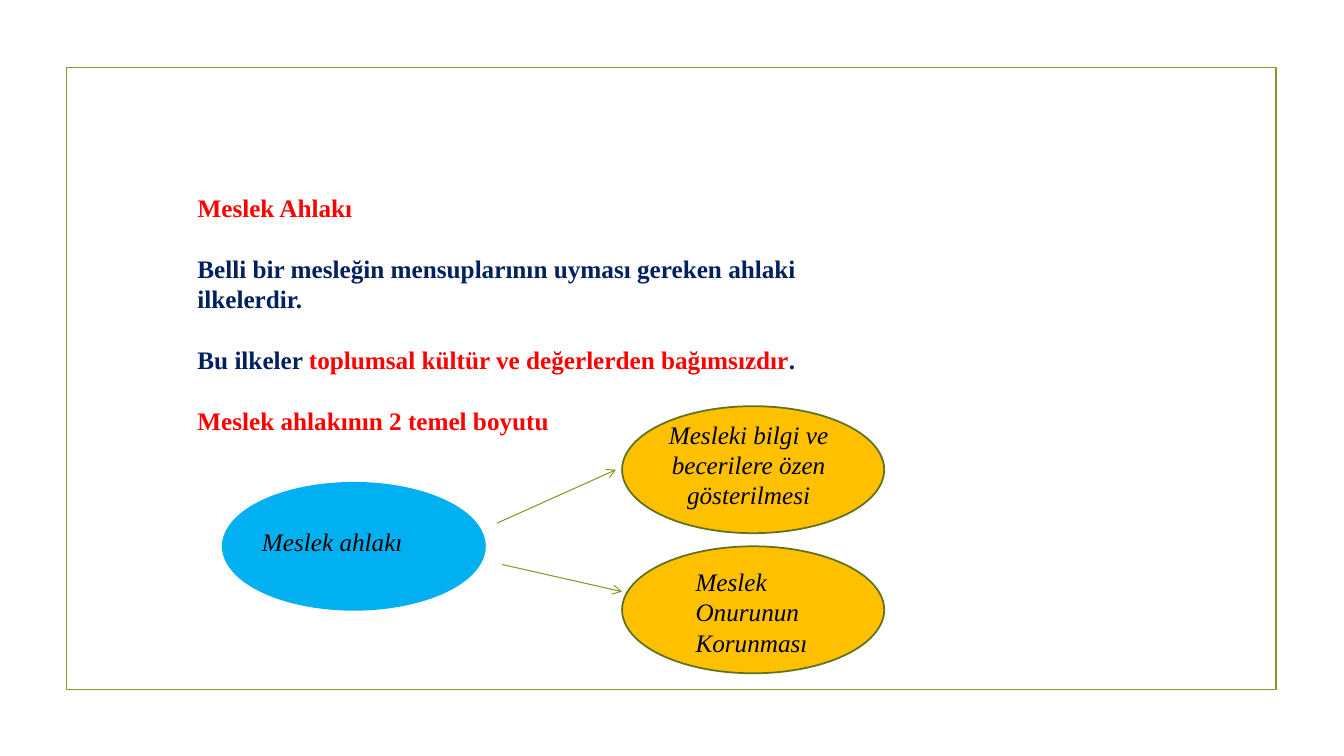
from lxml import etree
from pptx import Presentation
from pptx.dml.color import RGBColor
from pptx.enum.shapes import MSO_CONNECTOR, MSO_SHAPE
from pptx.enum.text import MSO_ANCHOR, PP_ALIGN
from pptx.oxml.ns import qn
from pptx.util import Inches, Pt

RED, NAVY, BLACK = "FF0000", "002060", "000000"
OLIVE, DARK_OLIVE = "83992A", "61711F"
BLUE, AMBER = "00B0F0", "FFC000"
OVAL_SIZE = (2.6, 1.26)


def color(value):
    return RGBColor.from_string(value)


def inches(*values):
    return [Inches(value) for value in values]


def style_font(font, bold=False, italic=False):
    font.name = "Times New Roman"
    font.size = Pt(18)
    font.bold = bold
    font.italic = italic


def add_outlined(slide, preset, box, line, fill=None):
    shape = slide.shapes.add_shape(preset, *inches(*box))
    shape.shadow.inherit = False
    if fill:
        shape.fill.solid()
        shape.fill.fore_color.rgb = color(fill)
    else:
        shape.fill.background()
    shape.line.color.rgb = color(line)
    shape.line.width = Pt(1.25)


def add_arrow(slide, start, end):
    arrow = slide.shapes.add_connector(MSO_CONNECTOR.STRAIGHT, *inches(*start, *end))
    arrow.line.color.rgb = color(OLIVE)
    arrow.line.width = Pt(0.75)
    etree.SubElement(arrow.line._get_or_add_ln(), qn("a:tailEnd"), type="arrow")
    etree.SubElement(arrow._element.spPr, qn("a:effectLst"))


def add_heading(slide, text, box):
    heading = slide.shapes.title
    heading.left, heading.top, heading.width, heading.height = inches(*box)
    heading.text_frame.text = text
    heading.text_frame.vertical_anchor = MSO_ANCHOR.TOP
    paragraph = heading.text_frame.paragraphs[0]
    paragraph.alignment = PP_ALIGN.LEFT
    style_font(paragraph.font, bold=True)
    paragraph.font.color.rgb = color(RED)


def add_principles(slide, principles, box):
    frame = slide.shapes.add_textbox(*inches(*box)).text_frame
    frame.word_wrap = True
    for index, pieces in enumerate(principles):
        paragraph = frame.add_paragraph() if index else frame.paragraphs[0]
        if index:
            paragraph.space_before = Pt(22)
        style_font(paragraph.font, bold=True)
        for text, shade in pieces:
            run = paragraph.add_run()
            run.text = text
            run.font.color.rgb = color(shade)


def add_label(slide, text, box, alignment=PP_ALIGN.LEFT):
    frame = slide.shapes.add_textbox(*inches(*box)).text_frame
    frame.word_wrap = True
    frame.text = text
    paragraph = frame.paragraphs[0]
    paragraph.alignment = alignment
    style_font(paragraph.font, italic=True)
    paragraph.font.color.rgb = color(BLACK)


def main():
    deck = Presentation()
    deck.slide_width, deck.slide_height = inches(13.33, 7.5)
    slide = deck.slides.add_slide(deck.slide_layouts[5])

    add_outlined(slide, MSO_SHAPE.RECTANGLE, (0.66, 0.67, 12, 6.17), OLIVE)
    add_heading(slide, "Meslek Ahlakı", (1.86, 1.86, 6.67, 0.4))
    add_principles(slide, [
        [("Belli bir mesleğin mensuplarının uyması gereken ahlaki ilkelerdir.", NAVY)],
        [("Bu ilkeler ", NAVY),
         ("toplumsal kültür ve değerlerden bağımsızdır", RED),
         (".", NAVY)],
        [("Meslek ahlakının 2 temel boyutu", RED)],
    ], (1.86, 2.46, 6.67, 2.0))

    for left, top, line, fill in [
        (2.21, 4.79, BLUE, BLUE),
        (6.17, 4.03, DARK_OLIVE, AMBER),
        (6.17, 5.42, DARK_OLIVE, AMBER),
    ]:
        add_outlined(slide, MSO_SHAPE.OVAL, (left, top, *OVAL_SIZE), line, fill)

    add_arrow(slide, (4.93, 5.19), (6.11, 4.66))
    add_arrow(slide, (4.98, 5.6), (6.17, 5.87))

    add_label(slide, "Meslek ahlakı", (2.5, 5.17, 1.82, 0.4))
    add_label(slide, "Mesleki bilgi ve becerilere özen gösterilmesi",
              (6.52, 4.11, 1.81, 1.01), PP_ALIGN.CENTER)
    add_label(slide, "Meslek Onurunun Korunması", (6.8, 5.57, 1.72, 1.01))

    deck.save("out.pptx")


if __name__ == "__main__":
    main()
